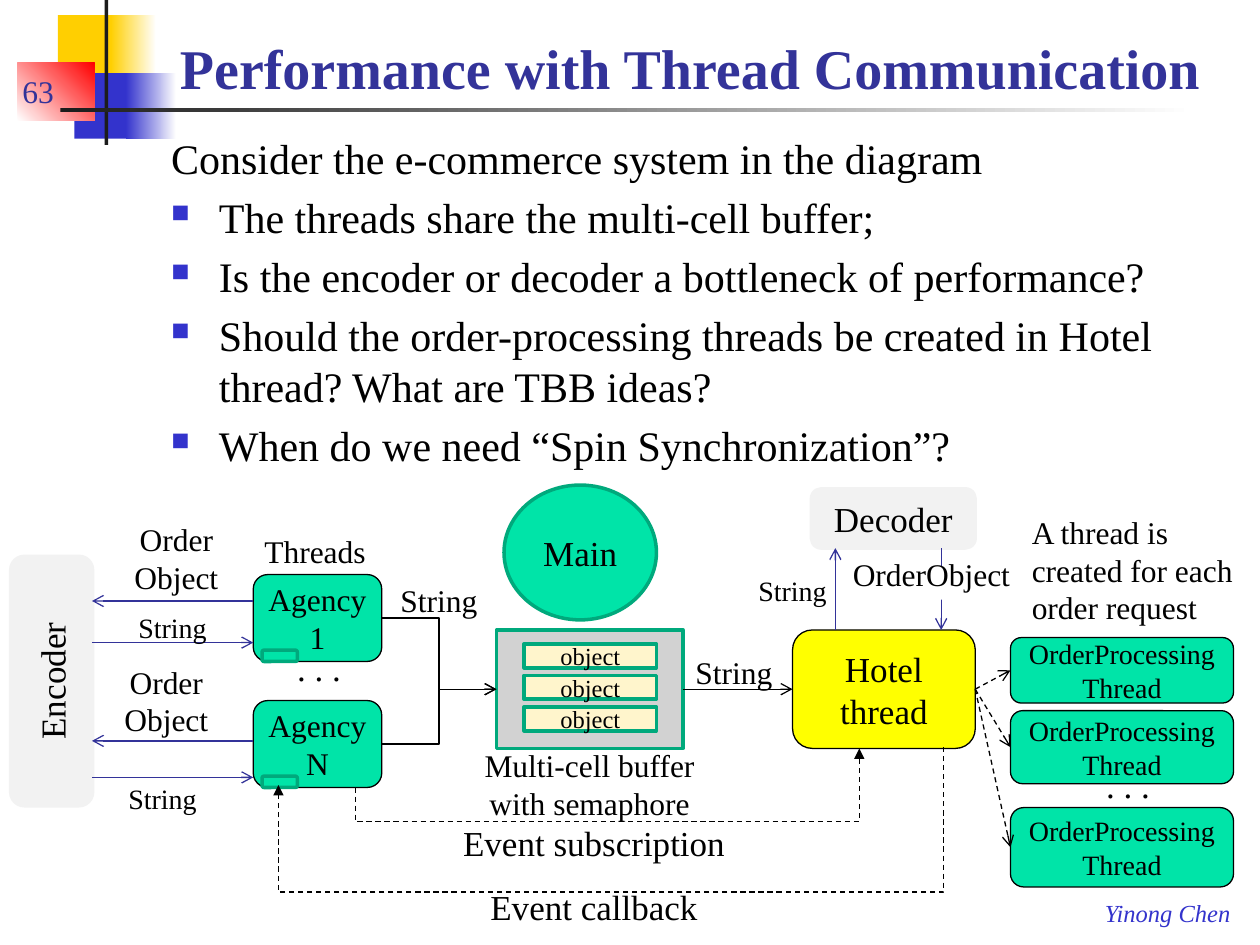
from dataclasses import dataclass

from lxml import etree
from pptx import Presentation
from pptx import util as u
from pptx.dml.color import RGBColor
from pptx.enum import dml, shapes, text
from pptx.oxml import ns

PX = 9144  # one px is a hundredth of an inch
KIND = shapes.MSO_SHAPE
JOIN = shapes.MSO_CONNECTOR
ALIGN = text.PP_ALIGN
ANCHOR = text.MSO_ANCHOR


@dataclass(frozen=True)
class Theme:
    font: str = "Times New Roman"
    black: str = "000000"
    white: str = "FFFFFF"
    ink: str = "1C1C1C"
    navy: str = "333399"
    blue: str = "3333CC"
    gold: str = "FFCF01"
    red: str = "FF0000"
    green: str = "00E4A8"
    edge: str = "00A97C"
    yellow: str = "FFFF00"
    cream: str = "FFF5CC"
    gray: str = "D2D2D2"
    pale: str = "F2F2F2"
    title: int = 32
    body: int = 24
    big: int = 20
    label: int = 18
    small: int = 16
    tiny: int = 14


T = Theme()


def rgb(code):
    return RGBColor.from_string(code)


def scale(*nums):
    return [u.Emu(n * PX) for n in nums]


def apply(obj, **fmt):
    for name, value in fmt.items():
        setattr(obj, name, value)


def child(node, tag, **attrs):
    return etree.SubElement(node, ns.qn(tag), attrs)


def write(shape, words, size=T.label, color=T.black, align=ALIGN.LEFT,
          anchor=ANCHOR.TOP, wrap=True, bold=False, italic=False, lead=None):
    frame = shape.text_frame
    apply(frame, text=words, word_wrap=wrap, vertical_anchor=anchor)
    for par in frame.paragraphs:
        apply(par, alignment=align, line_spacing=lead)
        apply(par.font, name=T.font, size=u.Pt(size), bold=bold, italic=italic)
        par.font.color.rgb = rgb(color)


def label(slide, box, words, **fmt):
    shape = slide.shapes.add_textbox(*scale(*box))
    write(shape, words, **fmt)
    return shape


def block(slide, box, fill, words="", kind=KIND.RECTANGLE, line=None,
          width=0.75, **fmt):
    shape = slide.shapes.add_shape(kind, *scale(*box))
    shape.shadow.inherit = False
    shape.fill.solid()
    shape.fill.fore_color.rgb = rgb(fill)
    if line:
        shape.line.color.rgb = rgb(line)
        shape.line.width = u.Pt(width)
    else:
        shape.line.fill.background()
    if words:
        centre = dict(align=ALIGN.CENTER, anchor=ANCHOR.MIDDLE)
        write(shape, words, **{**centre, **fmt})
    return shape


def fade(slide, box, start, end, angle=0):
    fill = block(slide, box, start).fill
    fill.gradient()
    fill.gradient_angle = angle
    for stop, color, pos in zip(fill.gradient_stops, (start, end), (0, 1)):
        stop.color.rgb = rgb(color)
        stop.position = pos


def stroke(shape, color, dash, head):
    line = shape.line
    line.color.rgb = rgb(color)
    line.width = u.Pt(0.75)
    if dash:
        line.dash_style = dml.MSO_LINE.DASH
    child(line._get_or_add_ln(), "a:tailEnd", type=head)


def arrow(slide, x1, y1, x2, y2, color=T.navy, kind=JOIN.STRAIGHT, dash=False):
    line = slide.shapes.add_connector(kind, *scale(x1, y1, x2, y2))
    stroke(line, color, dash, "arrow")
    child(line._element.spPr, "a:effectLst")
    return line


def join(slide, left, right, **fmt):
    """Arrow from the right side of one block to the left side of another."""
    line = arrow(slide, 0, 0, 1, 1, color=T.black, **fmt)
    line.begin_connect(left, 3)
    line.end_connect(right, 1)


def event(slide, start, *rest):
    pen = slide.shapes.build_freeform(*start, scale=PX)
    pen.add_line_segments(rest, close=False)
    shape = pen.convert_to_shape()
    shape.shadow.inherit = False
    shape.fill.background()
    stroke(shape, T.black, True, "triangle")


def decor(slide):
    block(slide, (46, 12, 48, 52), T.gold)
    fade(slide, (88, 12, 36, 52), T.gold, T.white)
    block(slide, (59, 58, 46, 52), T.blue)
    fade(slide, (100, 58, 40, 52), T.blue, T.white)
    fade(slide, (14, 50, 61, 46), T.white, T.red, 45)
    block(slide, (83, 0, 3, 115), T.ink)
    fade(slide, (48, 86, 900, 3), T.ink, T.white)


def outline(slide):
    label(slide, (867, 708, 120, 34), "Yinong Chen", size=T.tiny,
          color=T.blue, italic=True, wrap=False)
    label(slide, (133, 17, 858, 68), "Performance with Thread Communication",
          size=T.title, color=T.navy, bold=True, anchor=ANCHOR.BOTTOM)
    label(slide, (8, 42, 85, 50), "63", color=T.navy, anchor=ANCHOR.BOTTOM)
    body = label(slide, (126, 100, 857, 269), "\n".join((
        "Consider the e-commerce system in the diagram",
        "The threads share the multi-cell buffer;",
        "Is the encoder or decoder a bottleneck of performance?",
        "Should the order-processing threads be created in Hotel thread? "
        "What are TBB ideas?",
        "When do we need “Spin Synchronization”?")))
    for par in body.text_frame.paragraphs[1:]:
        props = par._p.get_or_add_pPr()
        apply_indent = dict(marL=str(38 * PX), indent=str(-38 * PX))
        props.attrib.update(apply_indent)
        for old in props.findall(ns.qn("a:defRPr")):
            props.remove(old)
        child(child(props, "a:buClr"), "a:srgbClr", val=T.blue)
        child(props, "a:buSzPct", val="60000")
        child(props, "a:buChar", char="■")
        par.space_before = u.Pt(5)
    for par in body.text_frame.paragraphs:
        apply(par.font, name=T.font, size=u.Pt(T.body))


def agency(slide, top, name, order, string, ends):
    """An agency thread with its two arrows and labels to the encoder."""
    out, back = ends
    shape = block(slide, (201, top, 102, 69), T.green, f"Agency\n{name}",
                  KIND.FLOWCHART_ALTERNATE_PROCESS, T.black, wrap=False)
    arrow(slide, 201, out, 73, out)
    arrow(slide, 73, back, 201, back)
    label(slide, (*order, 88, 71), "Order\nObject", align=ALIGN.CENTER,
          wrap=False)
    label(slide, (*string, 75, 37), "String", size=T.small, wrap=False)
    block(slide, (208, top + 60, 28, 9), T.green, "", KIND.ROUNDED_RECTANGLE,
          T.edge, 2)
    return shape


def diagram(slide):
    soft = dict(kind=KIND.ROUNDED_RECTANGLE, line=T.pale, width=2, size=T.big)
    block(slide, (-58, 508, 198, 65), T.pale, "Encoder", **soft).rotation = 270
    block(slide, (644, 388, 130, 47), T.pale, "Decoder", **soft)
    block(slide, (400, 385, 121, 107), T.green, "Main", KIND.OVAL, T.edge, 2,
          size=T.big)

    buffer = block(slide, (394, 500, 148, 94), T.gray, line=T.edge, width=2)
    for row in range(3):
        block(slide, (416, 511 + 25 * row, 105, 19), T.cream, "object",
              line=T.edge, width=2, size=T.tiny)
    hotel = block(slide, (629, 500, 145, 94), T.yellow, "Hotel\vthread",
                  KIND.FLOWCHART_ALTERNATE_PROCESS, T.black, size=T.big,
                  wrap=False)
    join(slide, buffer, hotel)

    for spec_row in ((456, "1", (96, 408), (100, 480), (477, 510)),
                     (556, "N", (88, 521), (92, 615), (588, 617))):
        join(slide, agency(slide, *spec_row), buffer, kind=JOIN.ELBOW)

    for top, high in ((506, 52), (564, 58), (641, 63)):
        order = block(slide, (802, top, 177, high), T.green,
                      "OrderProcessing Thread", KIND.ROUNDED_RECTANGLE,
                      T.black, size=T.small)
        join(slide, hotel, order, dash=True)

    arrow(slide, 747, 435, 747, 500)
    block(slide, (667, 450, 146, 26), T.white, "OrderObject", wrap=False,
          align=ALIGN.LEFT, anchor=ANCHOR.TOP, lead=u.Pt(11))
    arrow(slide, 663, 500, 663, 435)
    label(slide, (592, 450, 75, 37), "String", size=T.small, wrap=False)

    event(slide, (282, 625), (282, 652), (682, 652), (682, 594))
    event(slide, (749, 593), (749, 708), (221, 708), (221, 623))
    for top, name in ((647, "subscription"), (698, "callback")):
        label(slide, (351, top, 241, 44), f"Event {name}", size=T.big,
              align=ALIGN.CENTER)

    label(slide, (268, 587, 400, 71), "Multi-cell buffer\nwith semaphore",
          align=ALIGN.CENTER)
    label(slide, (809, 402, 182, 101),
          "A thread is created for each order request")
    label(slide, (200, 417, 102, 40), "Threads", wrap=False)
    for left, top in ((308, 456), (542, 513)):
        label(slide, (left, top, 82, 40), "String", wrap=False)
    for left, top in ((226, 508), (868, 601)):
        label(slide, (left, top, 55, 44), ". . .", size=T.big, wrap=False)


def main():
    deck = Presentation()
    deck.slide_width, deck.slide_height = scale(1000, 750)
    slide = deck.slides.add_slide(deck.slide_layouts[6])
    decor(slide)
    outline(slide)
    diagram(slide)
    deck.save("out.pptx")


if __name__ == "__main__":
    main()
